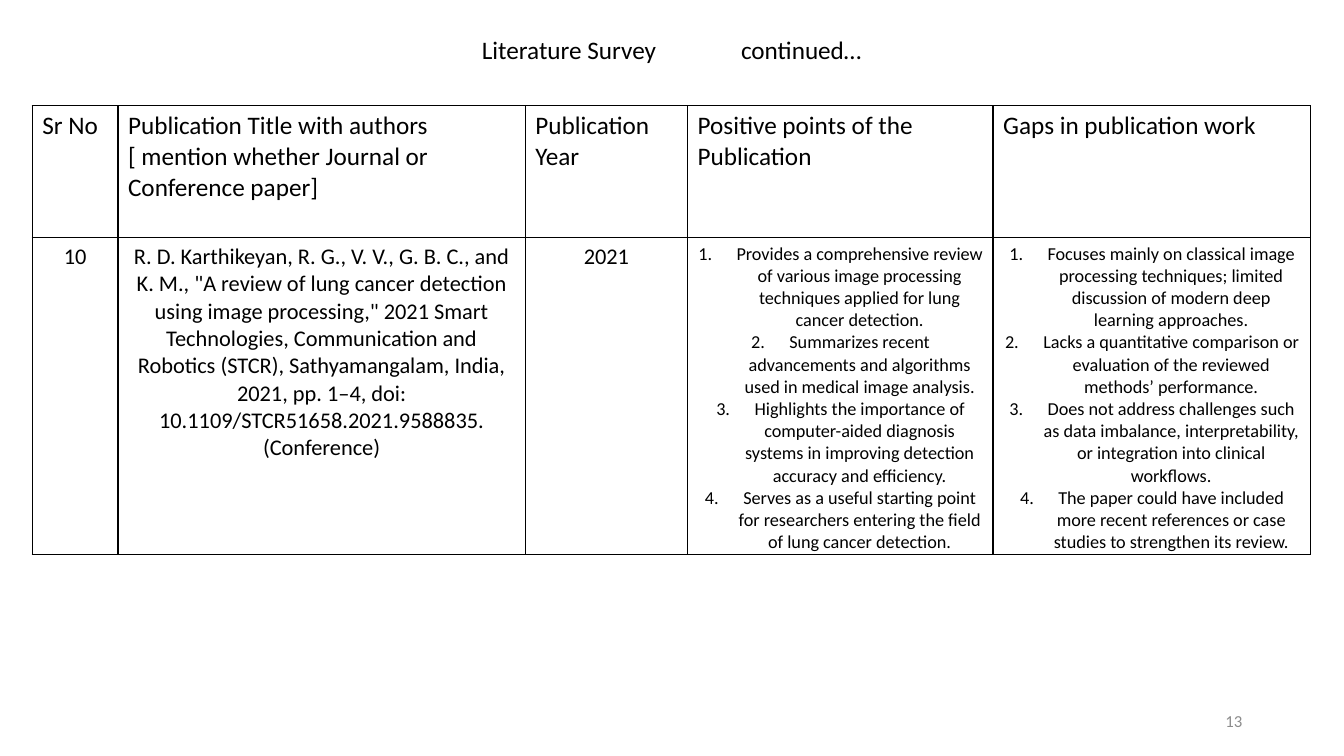
from lxml import etree
from pptx import Presentation
from pptx import util as u
from pptx.dml.color import RGBColor
from pptx.enum import text
from pptx.oxml.ns import qn

THEME = {
    "font": "Calibri",
    "ink": RGBColor(0, 0, 0),
    "muted": RGBColor(0x8C, 0x8C, 0x8C),
    "paper": RGBColor(255, 255, 255),
    "head": 18, "body": 16, "points": 13, "number": 12,
}
LEFT, CENTER, RIGHT = text.PP_ALIGN.LEFT, text.PP_ALIGN.CENTER, text.PP_ALIGN.RIGHT


def style(p, size, align, color="ink"):
    p.alignment = align
    p.font.name = THEME["font"]
    p.font.size = u.Pt(THEME[size])
    p.font.color.rgb = THEME[color]


def add_border(cell):
    """Draw a thin dark line on all four sides of a table cell."""
    tcPr = cell._tc.get_or_add_tcPr()
    for side in ("lnL", "lnR", "lnT", "lnB"):
        ln = etree.SubElement(tcPr, qn("a:" + side), w=str(u.Pt(1)))
        fill = etree.SubElement(ln, qn("a:solidFill"))
        etree.SubElement(fill, qn("a:srgbClr"), val=str(THEME["ink"]))


prs = Presentation()
prs.slide_width, prs.slide_height = u.Inches(13.33), u.Inches(7.5)
slide = prs.slides.add_slide(prs.slide_layouts[6])

# Slide number
sp = slide.shapes.add_textbox(u.Inches(9.42), u.Inches(6.95), u.Inches(3), u.Inches(0.4))
tf = sp.text_frame
tf.word_wrap = True
tf.vertical_anchor = text.MSO_ANCHOR.MIDDLE
p = tf.paragraphs[0]
p.text = "13"
style(p, "number", RIGHT, "muted")

# Survey table
headings = [
    "Sr No",
    "Publication Title with authors\v[ mention whether Journal or Conference paper]",
    "Publication Year",
    "Positive points of the Publication",
    "Gaps in publication work",
]
paper = [
    ["10"],
    ['R. D. Karthikeyan, R. G., V. V., G. B. C., and K. M., "A review of lung cancer '
     'detection using image processing," 2021 Smart Technologies, Communication and '
     "Robotics (STCR), Sathyamangalam, India, 2021, pp. 1–4, doi: "
     "10.1109/STCR51658.2021.9588835.",
     "(Conference)"],
    ["2021"],
    ["Provides a comprehensive review of various image processing techniques applied "
     "for lung cancer detection.",
     "Summarizes recent advancements and algorithms used in medical image analysis.",
     "Highlights the importance of computer-aided diagnosis systems in improving "
     "detection accuracy and efficiency.",
     "Serves as a useful starting point for researchers entering the field of lung "
     "cancer detection."],
    ["Focuses mainly on classical image processing techniques; limited discussion of "
     "modern deep learning approaches.",
     "Lacks a quantitative comparison or evaluation of the reviewed methods’ performance.",
     "Does not address challenges such as data imbalance, interpretability, or "
     "integration into clinical workflows.",
     "The paper could have included more recent references or case studies to "
     "strengthen its review."],
]
col_widths = [0.85, 4.04, 1.61, 3.03, 3.15]
row_heights = [1.31, 3.13]
NUMBERED_FROM = 3

table = slide.shapes.add_table(
    len(row_heights), len(col_widths), u.Inches(0.32), u.Inches(1.05),
    u.Inches(sum(col_widths)), u.Inches(sum(row_heights))).table
table.first_row = table.horz_banding = False
for column, width in zip(table.columns, col_widths):
    column.width = u.Inches(width)
for row, height in zip(table.rows, row_heights):
    row.height = u.Inches(height)

for c, (heading, entries) in enumerate(zip(headings, paper)):
    head, body = table.cell(0, c), table.cell(1, c)
    for cell in (head, body):
        add_border(cell)
        cell.fill.solid()
        cell.fill.fore_color.rgb = THEME["paper"]
    head.text = heading
    style(head.text_frame.paragraphs[0], "head", LEFT)
    body.text = "\n".join(entries)
    numbered = c >= NUMBERED_FROM
    for p in body.text_frame.paragraphs:
        style(p, "points" if numbered else "body", CENTER)
        if numbered:
            pPr = p._p.get_or_add_pPr()
            pPr.set("marL", str(u.Inches(0.38)))
            pPr.set("indent", str(-u.Inches(0.38)))
            number = etree.Element(qn("a:buAutoNum"), type="arabicPeriod")
            pPr.insert(0, number)

# Title: the two parts are set apart by a tab stop
sp = slide.shapes.add_textbox(u.Inches(2.23), u.Inches(0.27), u.Inches(8.87), u.Inches(0.47))
tf = sp.text_frame
tf.word_wrap = True
tf.margin_left = u.Inches(2.55)
tf.margin_top = tf.margin_right = tf.margin_bottom = u.Inches(0.1)
p = tf.paragraphs[0]
p.text = "Literature Survey\tcontinued…"
p.line_spacing = 0.9
style(p, "head", LEFT)
pPr = p._p.get_or_add_pPr()
tabs = etree.Element(qn("a:tabLst"))
etree.SubElement(tabs, qn("a:tab"), pos=str(u.Inches(2.57)), algn="l")
pPr.find(qn("a:defRPr")).addprevious(tabs)

prs.save("out.pptx")
